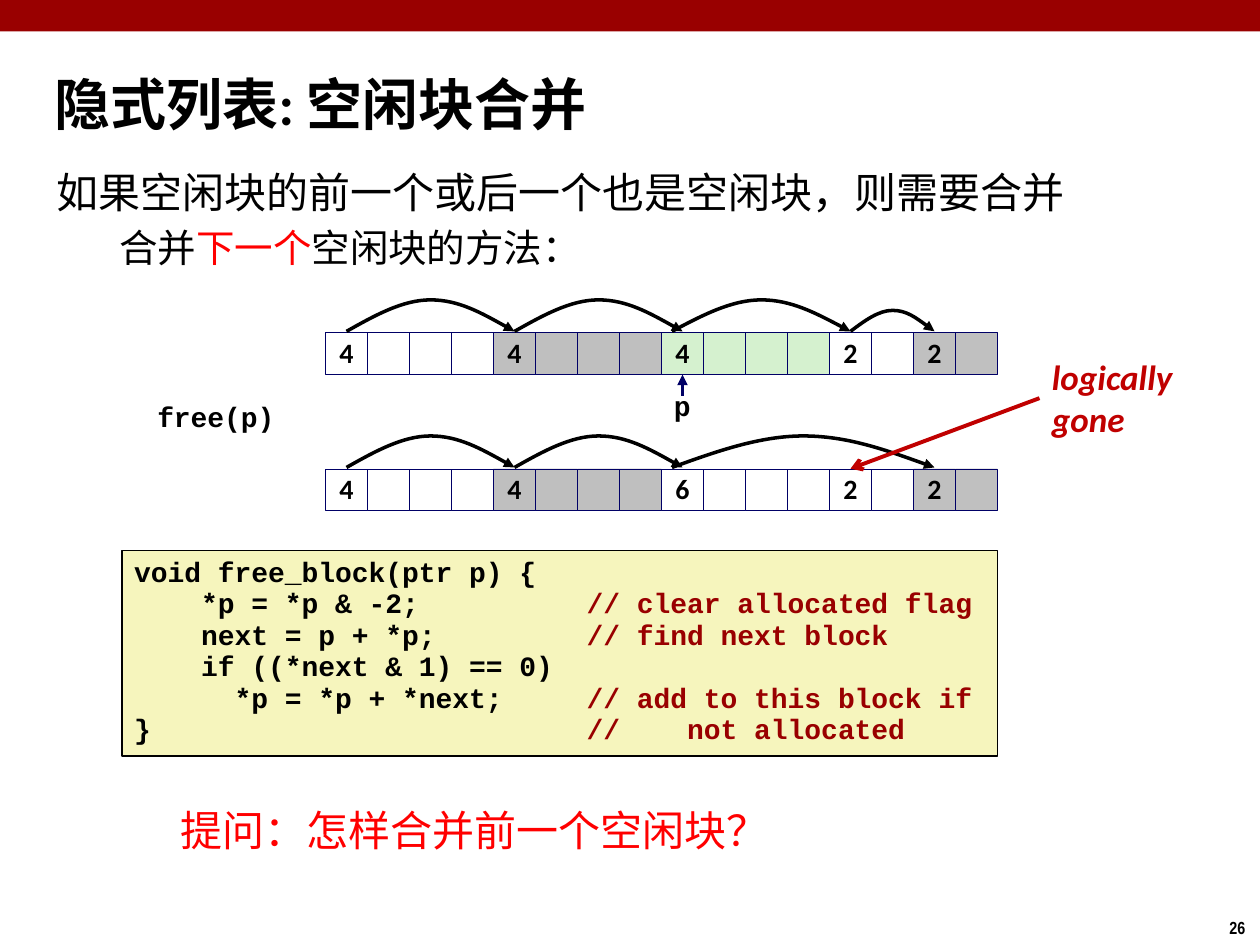
import pptx
import pptx.dml.color
import pptx.enum.shapes
import pptx.enum.text
import pptx.oxml.ns
import pptx.util
from lxml import etree

prs = pptx.Presentation()
prs.slide_width = pptx.util.Inches(10)
prs.slide_height = pptx.util.Inches(7.5)
slide = prs.slides.add_slide(prs.slide_layouts[6])
shapes = slide.shapes

# Grid: 30 columns by 22.5 rows; one unit is one memory word
U = prs.slide_width / 30
RECT = pptx.enum.shapes.MSO_SHAPE.RECTANGLE
LEFT, CENTER = pptx.enum.text.PP_ALIGN.LEFT, pptx.enum.text.PP_ALIGN.CENTER
TOP, MIDDLE = pptx.enum.text.MSO_ANCHOR.TOP, pptx.enum.text.MSO_ANCHOR.MIDDLE
qn = pptx.oxml.ns.qn
COLORS = {
    "black": "000000", "red": "FF0000", "maroon": "990000", "crimson": "C00000",
    "navy": "000066", "white": "FFFFFF", "gray": "BFBFBF", "silver": "C0C0C0",
    "green": "D5F1CF", "cream": "F6F5BD",
}
RGB = {k: pptx.dml.color.RGBColor.from_string(v) for k, v in COLORS.items()}


def add_box(at, paragraphs=(), size=16, font="Calibri", color="black", bold=True,
            italic=False, align=LEFT, anchor=TOP, spacing=None, wrap=False,
            fill=None, line=None, weight=0.25):
    """Add a text box or a filled rectangle; each paragraph lists (text, colour) runs."""
    at = [round(v * U) for v in at]
    if fill:
        s = shapes.add_shape(RECT, *at)
        s.shadow.inherit = False
        s.fill.solid()
        s.fill.fore_color.rgb = RGB[fill]
        if line:
            s.line.color.rgb = RGB[line]
            s.line.width = pptx.util.Pt(weight)
        else:
            s.line.fill.background()
    else:
        s = shapes.add_textbox(*at)
    tf = s.text_frame
    tf.word_wrap = wrap
    tf.vertical_anchor = anchor
    for i, runs in enumerate(paragraphs):
        p = tf.add_paragraph() if i else tf.paragraphs[0]
        p.alignment = align
        if spacing:
            p.line_spacing = spacing
        p.font.size = pptx.util.Pt(size)
        p.font.name = font
        p.font.bold = bold
        p.font.italic = italic
        p.font.color.rgb = RGB[color]
        for text, run_color in runs:
            r = p.add_run()
            r.text = text
            r.font.color.rgb = RGB[run_color or color]
    return s


def style_arrow(s, color, weight, head="triangle"):
    """Give a line its colour, its arrowhead and no shadow."""
    s.line.color.rgb = RGB[color]
    s.line.width = pptx.util.Pt(weight)
    sp_pr = s._element.spPr
    etree.SubElement(sp_pr.find(qn("a:ln")), qn("a:tailEnd"), type=head)
    etree.SubElement(sp_pr, qn("a:effectLst"))


# Top band, slide number and title
add_box((0, 0, 30, 0.75), fill="maroon")
add_box((28.98, 21.69, 1.02, 0.81), [[("26", None)]], 10, "Arial Narrow")
add_box((1, 1.5, 22.2, 1.9), [[("隐式列表: 空闲块合并", None)]], 32, anchor=MIDDLE)

# Body text
body = add_box((1.05, 4.02, 27.27, 18), [
    [("如果空闲块的前一个或后一个也是空闲块，则需要合并", None)],
    [("合并", None), ("下一个", "red"), ("空闲块的方法：", None)],
], 24, bold=False, spacing=0.83, wrap=True)
p = body.text_frame.paragraphs[1]
p._p.get_or_add_pPr().set("marL", str(pptx.util.Inches(0.5)))
p.line_spacing = 0.88
p.space_before = pptx.util.Pt(7.5)
p.font.size = pptx.util.Pt(22)

# Code
CODE = [
    ("void free_block(ptr p) {", ""),
    ("    *p = *p & -2;", "// clear allocated flag"),
    ("    next = p + *p;", "// find next block"),
    ("    if ((*next & 1) == 0)", ""),
    ("      *p = *p + *next;", "// add to this block if"),
    ("}", "//    not allocated"),
]
add_box((2.9, 13.11, 20.85, 4.89),
        [[(f"{code:<27}", None), (note, "maroon")] if note else [(code, None)]
         for code, note in CODE],
        font="Courier New", spacing=0.94, fill="cream", line="black", weight=1)

# Heaps before and after the call: blocks are (words, colour, label),
# arcs are (first word, last word, shift of start, height)
X0 = 7.75
HEAPS = [
    (7.92,
     [(4, "white", "4"), (4, "gray", "4"), (4, "green", "4"),
      (2, "white", "2"), (2, "silver", "2")],
     [(0, 4, 0, 0.75), (4, 8, 0, 0.75), (8, 12, -0.25, 0.75), (12, 14, 0, 0.5)]),
    (11.16,
     [(4, "white", "4"), (4, "gray", "4"), (4, "white", "6"),
      (2, "white", "2"), (2, "silver", "2")],
     [(0, 4, 0, 0.75), (4, 8, 0, 0.75), (8, 14, -0.25, 0.75)]),
]
for top, blocks, arcs in HEAPS:
    x = X0
    for words, color, label in blocks:
        for i in range(words):
            add_box((x, top, 1, 1), [] if i else [[(label, None)]], align=CENTER,
                    anchor=MIDDLE, spacing=0.98, fill=color, line="navy")
            x += 1
    for first, last, shift, height in arcs:
        start, end = X0 + 0.5 + first + shift, X0 + 0.5 + last
        base = top - 0.03
        fb = shapes.build_freeform(round(start * U), round(base * U))
        fb.add_line_segments([(round((start + end) / 2 * U), round((base - height) * U)),
                              (round(end * U), round(base * U))], close=False)
        s = fb.convert_to_shape()
        s.fill.background()
        # Turn both straight segments into Bezier curves
        path = s._element.find(".//" + qn("a:path"))
        w, h = int(path.get("w")), int(path.get("h"))
        halves = [[(1, 3), (2, 0), (3, 0)], [(4, 0), (5, 3), (6, 6)]]
        for segment, points in zip(path.findall(qn("a:lnTo")), halves):
            curve = etree.Element(qn("a:cubicBezTo"))
            for px, py in points:
                etree.SubElement(curve, qn("a:pt"), x=str(w * px // 6), y=str(h * py // 6))
            path.replace(segment, curve)
        style_arrow(s, "black", 2)

# Labels
for at, text in [((3.45, 9.42, 3.42, 1.08), "free(p)"), ((15.75, 9.18, 1, 1.08), "p")]:
    add_box(at, [[(text, None)]], font="Courier New", spacing=0.94)
add_box((24.75, 8.31, 3.48, 2.31), [[("logically", None)], [("gone", None)]], 20,
        color="crimson", italic=True)

# Straight arrows: the pointer p and the block that is gone
for ends, color, weight, head in [
    ((16.25, 9.42, 16.25, 8.92), "navy", 2, "triangle"),
    ((24.75, 9.48, 20.25, 11.16), "crimson", 2.25, "arrow"),
]:
    s = shapes.add_connector(pptx.enum.shapes.MSO_CONNECTOR.STRAIGHT,
                             *[round(v * U) for v in ends])
    style_arrow(s, color, weight, head)

# Closing question
add_box((4, 19, 23, 1.5), [[("提问：怎样合并前一个空闲块？", None)]], 24,
        "Noto Sans CJK SC", "red", bold=False, wrap=True)

prs.save("out.pptx")
